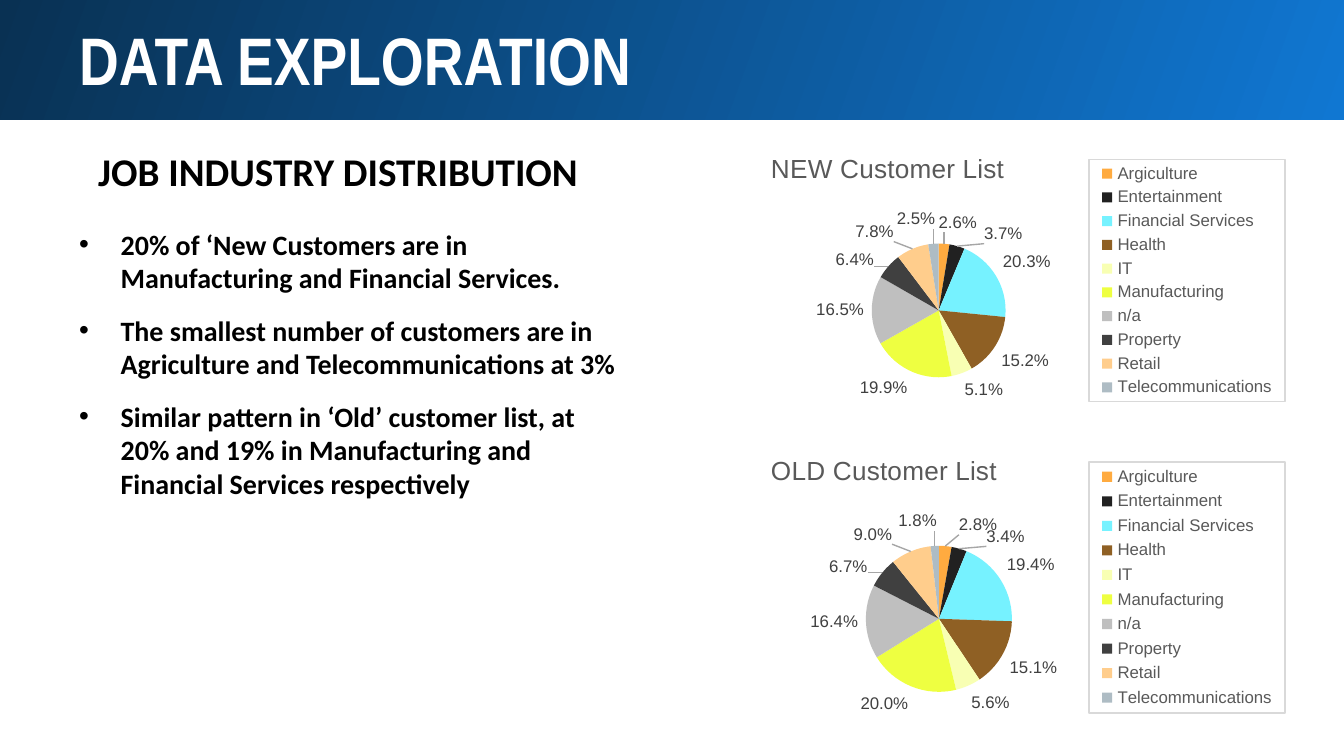
from dataclasses import dataclass

from lxml import etree
from pptx import Presentation, util as u
from pptx.chart.data import CategoryChartData
from pptx.dml.color import RGBColor
from pptx.enum import chart as charts, shapes, text
from pptx.oxml import parse_xml
from pptx.oxml.ns import nsdecls, qn


@dataclass(frozen=True)
class Theme:
    ink: str = "000000"
    paper: str = "FFFFFF"
    muted: str = "595959"
    label: str = "404040"
    border: str = "D9D9D9"
    leader: str = "A6A6A6"
    band: tuple = ("1077D2", "093153")
    slices: tuple = ("FFAB40", "212121", "76F2FF", "8F6024", "F8FFB3",
                     "EEFF41", "BFBFBF", "404040", "FFCD8C", "AEBCC4")
    display_font: str = "Arial Narrow"
    body_font: str = "Calibri"
    chart_font: str = "Arial"
    title_size: int = 36
    heading_size: int = 21
    body_size: int = 15
    chart_title_size: int = 14
    chart_size: int = 10
    label_size: int = 9


INDUSTRIES = ("Argiculture", "Entertainment", "Financial Services", "Health", "IT",
              "Manufacturing", "n/a", "Property", "Retail", "Telecommunications")
NEW_SHARES = (0.026, 0.037, 0.203, 0.152, 0.051, 0.199, 0.165, 0.064, 0.078, 0.025)
OLD_SHARES = (0.028, 0.034, 0.194, 0.151, 0.056, 0.2, 0.164, 0.067, 0.09, 0.018)
FINDINGS = (
    "20% of ‘New Customers are in Manufacturing and Financial Services.",
    "The smallest number of customers are in Agriculture and Telecommunications at 3%",
    "Similar pattern in ‘Old’ customer list, at 20% and 19% in Manufacturing and "
    "Financial Services respectively",
)
# Shifts of the crowded labels, in percent of the chart's size
LABEL_SHIFTS = {0: (2.4, -1.2), 1: (4.6, 1.8), 7: (-1.6, 3.2), 8: (-2.9, 0), 9: (-3.1, -2.5)}


def style_font(font, name, size, color, bold=False):
    font.name, font.size, font.bold = name, u.Pt(size), bold
    font.color.rgb = RGBColor.from_string(color)


def write(paragraph, content, *, name, size, color, bold=True, spacing=None,
          after=None, bullet=None, indent=0.31):
    run = paragraph.add_run()
    run.text = content
    style_font(run.font, name, size, color, bold)
    if spacing:
        paragraph.line_spacing = spacing
    if after:
        paragraph.space_after = u.Pt(after)
    if bullet:
        properties = paragraph._p.get_or_add_pPr()
        properties.set("marL", str(u.Inches(indent)))
        properties.set("indent", str(-u.Inches(indent)))
        mark_color = etree.SubElement(properties, qn("a:buClr"))
        etree.SubElement(mark_color, qn("a:srgbClr"), val=color)
        etree.SubElement(properties, qn("a:buFont"), typeface="Arial")
        etree.SubElement(properties, qn("a:buChar"), char=bullet)


def outline(color, fill=""):
    return parse_xml(
        f'<c:spPr {nsdecls("c", "a")}>{fill}<a:ln w="9525"><a:solidFill>'
        f'<a:srgbClr val="{color}"/></a:solidFill></a:ln></c:spPr>')


def place(element, x, y, width=None, height=None, inner=False):
    """Give a chart part a manual layout in percent of the chart's size."""
    for old in element.findall(qn("c:layout")):
        element.remove(old)
    layout = etree.Element(qn("c:layout"))
    manual = etree.SubElement(layout, qn("c:manualLayout"))
    settings = [("layoutTarget", "inner")] if inner else []
    if element.tag != qn("c:dLbl"):
        settings += [("xMode", "edge"), ("yMode", "edge")]
    settings += [("x", x / 100), ("y", y / 100)]
    if width:
        settings += [("w", width / 100), ("h", height / 100)]
    for tag, value in settings:
        etree.SubElement(manual, qn(f"c:{tag}"), val=str(value))
    leaders = [qn(f"c:{tag}") for tag in ("tx", "legendPos", "idx")]
    element.insert(int(len(element) > 0 and element[0].tag in leaders), layout)
    return layout


class Deck:
    """Draws on one slide; every box is (left, top, width, height) in percent."""

    def __init__(self, theme):
        self.theme = theme
        self.presentation = Presentation()
        self.presentation.slide_width = u.Inches(10)
        self.presentation.slide_height = u.Inches(10) * 9 // 16
        self.slide = self.presentation.slides.add_slide(self.presentation.slide_layouts[6])

    def box(self, *shares):
        sizes = (self.presentation.slide_width, self.presentation.slide_height) * 2
        return [int(size * share / 100) for size, share in zip(sizes, shares)]

    def band(self, *shares):
        shape = self.slide.shapes.add_shape(shapes.MSO_SHAPE.RECTANGLE, *self.box(*shares))
        shape.shadow.inherit = False
        shape.line.fill.background()
        shape.fill.gradient()
        shape.fill.gradient_angle = 160
        for stop, color, position in zip(shape.fill.gradient_stops, self.theme.band, (0, 1)):
            stop.color.rgb = RGBColor.from_string(color)
            stop.position = position

    def text(self, lines, *shares, insets=(0.1, 0.05), anchor=text.MSO_ANCHOR.TOP, **style):
        frame = self.slide.shapes.add_textbox(*self.box(*shares)).text_frame
        frame.word_wrap = True
        frame.vertical_anchor = anchor
        frame.margin_left = frame.margin_right = u.Inches(insets[0])
        frame.margin_top = frame.margin_bottom = u.Inches(insets[1])
        for number, line in enumerate(lines):
            paragraph = frame.add_paragraph() if number else frame.paragraphs[0]
            write(paragraph, line, **style)

    def pie(self, title, values, plot_area, *shares):
        theme = self.theme
        data = CategoryChartData(number_format="0.0%")
        data.categories = INDUSTRIES
        data.add_series("Series 1", values)
        chart = self.slide.shapes.add_chart(
            charts.XL_CHART_TYPE.PIE, *self.box(*shares), data).chart
        style_font(chart.font, theme.chart_font, theme.chart_size, theme.ink)
        chart.plots[0].vary_by_categories = True

        chart.has_title = True
        write(chart.chart_title.text_frame.paragraphs[0], title, name=theme.chart_font,
              size=theme.chart_title_size, color=theme.muted, bold=False)
        place(chart.chart_title._element, 2.5, 2.6)
        place(chart.plots[0]._element.getparent(), *plot_area, inner=True)
        self.legend(chart)
        self.slices(chart.plots[0].series[0])

    def legend(self, chart):
        theme = self.theme
        chart.has_legend = True
        legend = chart.legend
        legend.position = charts.XL_LEGEND_POSITION.RIGHT
        legend.include_in_layout = False
        style_font(legend.font, theme.chart_font, theme.label_size, theme.muted)
        place(legend._element, 62.1, 7, 36.2, 85.5)
        legend._element.find(qn("c:overlay")).addnext(outline(theme.border, "<a:noFill/>"))

    def slices(self, series):
        theme = self.theme
        for number, color in enumerate(theme.slices):
            fill = series.points[number].format.fill
            fill.solid()
            fill.fore_color.rgb = RGBColor.from_string(color)
        labels = series.data_labels
        labels.show_value = True
        labels.number_format, labels.number_format_is_linked = "0.0%", False
        labels.position = charts.XL_LABEL_POSITION.OUTSIDE_END
        label_style = (theme.chart_font, theme.label_size, theme.label)
        style_font(labels.font, *label_style)
        for number in LABEL_SHIFTS:
            label = series.points[number].data_label
            label.position = charts.XL_LABEL_POSITION.OUTSIDE_END
            style_font(label.font, *label_style)
        for element in labels._element.findall(qn("c:dLbl")):
            number = int(element.find(qn("c:idx")).get("val"))
            layout = place(element, *LABEL_SHIFTS[number])
            layout.addnext(parse_xml(
                f'<c:numFmt {nsdecls("c")} formatCode="0.0%" sourceLinked="0"/>'))
        leader_lines = etree.SubElement(labels._element, qn("c:leaderLines"))
        leader_lines.append(outline(theme.leader))


def main():
    theme = Theme()
    deck = Deck(theme)
    deck.text(["JOB INDUSTRY DISTRIBUTION"], 6.6, 18.5, 39.5, 9.1, insets=(0.07, 0.04),
              anchor=text.MSO_ANCHOR.MIDDLE, name=theme.body_font,
              size=theme.heading_size, color=theme.ink, spacing=0.9)
    deck.text(FINDINGS, 4.9, 29.2, 42.4, 48.5, name=theme.body_font,
              size=theme.body_size, color=theme.ink, after=10, bullet="•")
    deck.pie("OLD Customer List", OLD_SHARES, (20.9, 35.6, 27, 49.8), 56, 58.4, 40.3, 38.8)
    deck.pie("NEW Customer List", NEW_SHARES, (22, 36.6, 24.7, 47.5), 56, 18.5, 40.3, 37.4)
    deck.band(0, -0.5, 100, 16.35)
    deck.text(["DATA EXPLORATION"], 4.9, 3.65, 81.2, 10.7, name=theme.display_font,
              size=theme.title_size, color=theme.paper, spacing=0.8)
    deck.presentation.save("out.pptx")


if __name__ == "__main__":
    main()
